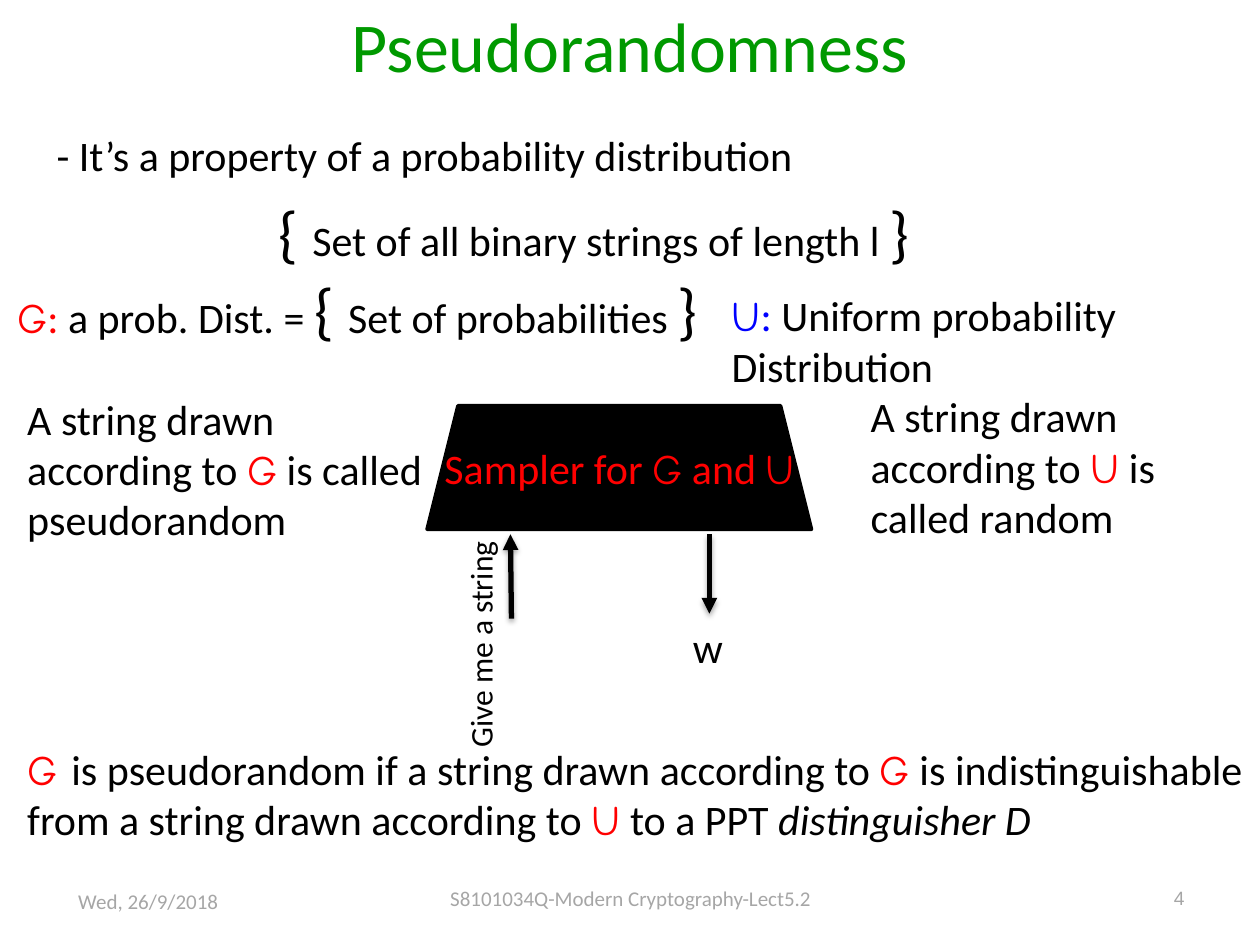
import pptx
import pptx.util
import pptx.dml.color
import pptx.enum.shapes
import pptx.enum.text
import pptx.oxml
import pptx.oxml.ns
from pptx.util import Cm

BLACK, RED, BLUE, GREEN, GRAY = "000000", "FF0000", "0000FF", "009900", "A6A6A6"
ALIGN = pptx.enum.text.PP_ALIGN
AUTO = pptx.enum.text.MSO_AUTO_SIZE


def rgb(value):
    return pptx.dml.color.RGBColor.from_string(value)


def write(box, runs, size=24, color=BLACK, align=ALIGN.LEFT, wrap=True,
          grow=True, font="Calibri", rotation=0):
    label = slide.shapes.add_textbox(*(Cm(length) for length in box))
    label.rotation = rotation
    frame = label.text_frame
    frame.word_wrap = wrap
    frame.auto_size = AUTO.SHAPE_TO_FIT_TEXT if grow else AUTO.NONE
    paragraph = frame.paragraphs[0]
    paragraph.alignment = align
    paragraph.font.size = pptx.util.Pt(size)
    paragraph.font.name = font
    paragraph.font.color.rgb = rgb(color)
    for text, changes in runs:
        run = paragraph.add_run()
        run.text = text
        if "size" in changes:
            run.font.size = pptx.util.Pt(changes["size"])
        if "font" in changes:
            run.font.name = changes["font"]
        if "color" in changes:
            run.font.color.rgb = rgb(changes["color"])
        if "italic" in changes:
            run.font.italic = changes["italic"]


plain = {}
brace = {"size": 36}
red = {"color": RED}
blue = {"color": BLUE}
red_symbol = {"font": "Comic Neue", "color": RED}
blue_symbol = {"font": "Comic Neue", "color": BLUE}

deck = pptx.Presentation()
deck.slide_width, deck.slide_height = Cm(25.4), Cm(19.05)
slide = deck.slides.add_slide(deck.slide_layouts[6])

write((0.89, 2.49, 20.8, 1.27),
      [("- It’s a property of a probability distribution", plain)])
write((0, -0.08, 25.4, 1.6), [("Pseudorandomness", plain)],
      size=40, color=GREEN, align=ALIGN.CENTER, grow=False)
write((5.36, 3.78, 16.2, 1.8),
      [("{ ", brace), ("Set of all binary strings of length l ", plain), ("}", brace)])
write((0.1, 5.33, 14.4, 1.8),
      [("G", red_symbol), (": ", red), ("a prob. Dist. = ", plain),
       ("{ ", brace), ("Set of probabilities ", plain), ("}", brace)])
write((14.5, 5.72, 10.9, 2.31),
      [("U", blue_symbol), (": ", blue), ("Uniform probability Distribution", plain)])
write((0.3, 14.86, 25, 2.31),
      [("G ", red_symbol), ("is pseudorandom if a string drawn according to ", plain),
       ("G", red_symbol),
       (" is indistinguishable from a string drawn according to ", plain),
       ("U", red_symbol), (" to a PPT ", plain), ("distinguisher D", {"italic": True})])

sampler = slide.shapes.add_shape(
    pptx.enum.shapes.MSO_SHAPE.TRAPEZOID, Cm(8.61), Cm(8.18), Cm(7.75), Cm(2.49))
sampler.shadow.inherit = False
sampler.fill.solid()
sampler.fill.fore_color.rgb = rgb(BLACK)
sampler.line.color.rgb = rgb(BLACK)
sampler.line.width = pptx.util.Pt(2)

for start_x, start_y, end_x, end_y in [(14.3, 10.77, 14.3, 12.37),
                                       (10.31, 12.47, 10.29, 10.77)]:
    arrow = slide.shapes.add_connector(
        pptx.enum.shapes.MSO_CONNECTOR.STRAIGHT,
        Cm(start_x), Cm(start_y), Cm(end_x), Cm(end_y))
    arrow.line.color.rgb = rgb(BLACK)
    arrow.line.width = pptx.util.Pt(3)
    namespace = pptx.oxml.ns.nsdecls("a")
    arrow.line._get_or_add_ln().append(
        pptx.oxml.parse_xml(f'<a:tailEnd {namespace} type="triangle"/>'))
    arrow._element.spPr.append(pptx.oxml.parse_xml(
        f'<a:effectLst {namespace}><a:outerShdw blurRad="39370" dist="22860" '
        'dir="5400000" rotWithShape="0"><a:srgbClr val="000000">'
        '<a:alpha val="35000"/></a:srgbClr></a:outerShdw></a:effectLst>'))

write((13.72, 12.4, 1.12, 1.27), [("w", plain)], wrap=False)
write((7.32, 12.45, 4.72, 1.02), [("Give me a string", plain)],
      size=18, wrap=False, rotation=270)
write((8.71, 8.79, 7.65, 1.27),
      [("Sampler for ", plain), ("G", red_symbol), (" and ", plain), ("U", red_symbol)],
      color=RED, wrap=False)

for box, symbol, ending in [
        ((0.3, 7.8, 8.86, 3.33), "G", " is called pseudorandom"),
        ((17.3, 7.75, 8, 3.33), "U", " is called random")]:
    write(box, [("A string drawn according to ", plain),
                (symbol, red_symbol), (ending, plain)])

for box, text, size, font, align in [
        ((0.03, 17.78, 5.92, 0.74), "Wed, 26/9/2018", 12, "Calibri", ALIGN.CENTER),
        ((8.69, 17.73, 8.05, 0.74), "S8101034Q-Modern Cryptography-Lect5.2",
         12, "Calibri", ALIGN.CENTER),
        ((23.01, 17.75, 1.12, 0.99), "4", 11, "Arial", ALIGN.RIGHT)]:
    write(box, [(text, plain)], size=size, color=GRAY, align=align,
          grow=False, font=font)

deck.save("out.pptx")
